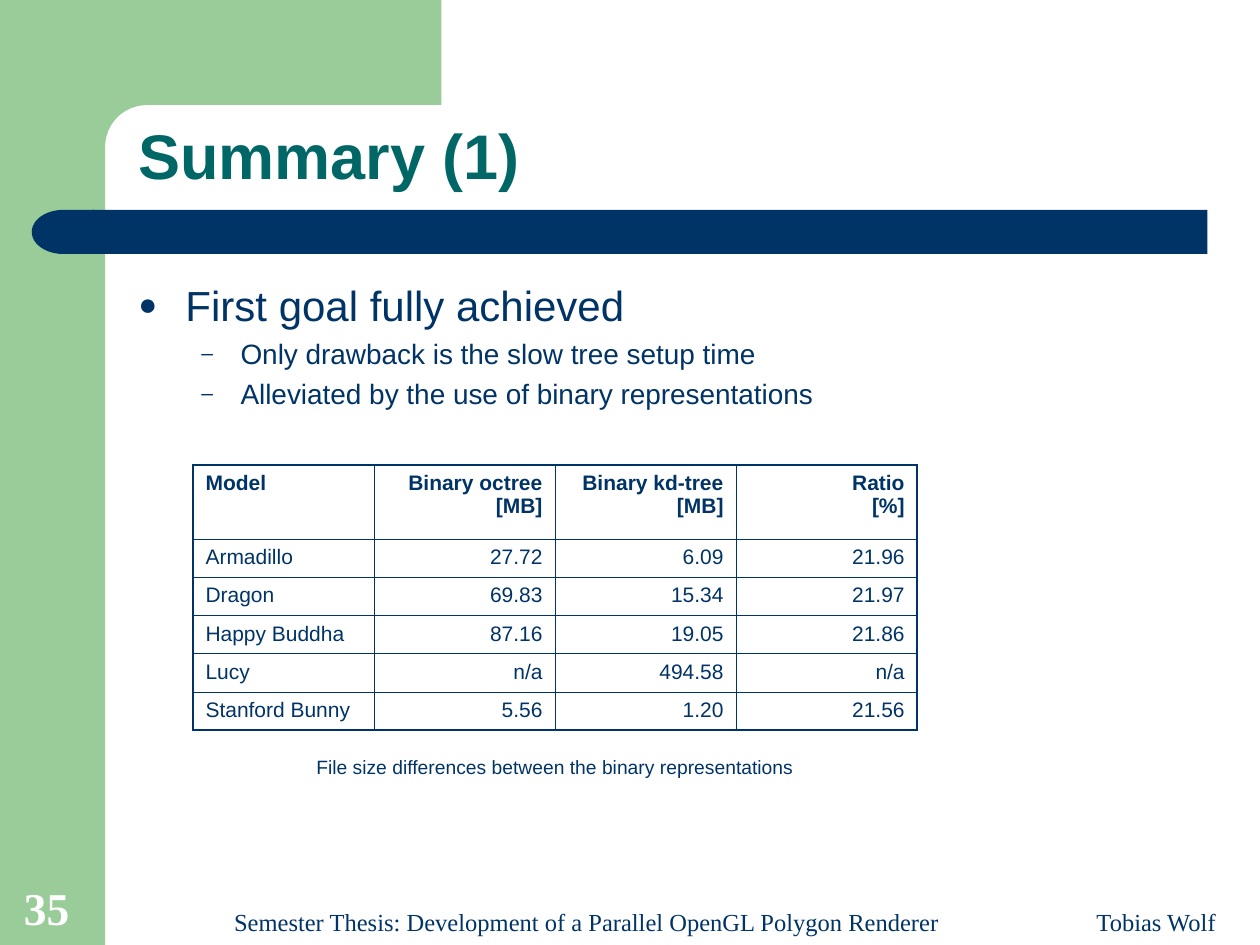
from dataclasses import dataclass

from lxml.etree import SubElement
from pptx import Presentation
from pptx.dml.color import RGBColor
from pptx.enum.shapes import MSO_SHAPE
from pptx.enum.text import MSO_ANCHOR, PP_ALIGN
from pptx.oxml import parse_xml
from pptx.oxml.ns import nsdecls, qn
from pptx.util import Cm, Pt


@dataclass(frozen=True)
class Theme:
    navy: str = "003366"
    teal: str = "006666"
    green: str = "99CC99"
    white: str = "FFFFFF"
    sans: str = "Arial"
    serif: str = "Times New Roman"
    title: int = 36
    number: int = 26
    goal: int = 24
    detail: int = 16
    footer: int = 14
    cell: int = 12
    caption: int = 11
    outer_line: float = 1.08
    inner_line: float = 0.45


THEME = Theme()

TITLE = "Summary (1)"
POINTS = [
    (0, "First goal fully achieved"),
    (1, "Only drawback is the slow tree setup time"),
    (1, "Alleviated by the use of binary representations"),
]
POINT_LEVELS = [
    {"size": THEME.goal, "bullet": "●", "indent": 0.95, "hang": 0.95, "before": 0},
    {"size": THEME.detail, "bullet": "–", "indent": 2.06, "hang": 0.79, "before": 4},
]
FILE_SIZES = [
    ("Model", "Binary octree\n[MB]", "Binary kd-tree\n[MB]", "Ratio\n[%]"),
    ("Armadillo", "27.72", "6.09", "21.96"),
    ("Dragon", "69.83", "15.34", "21.97"),
    ("Happy Buddha", "87.16", "19.05", "21.86"),
    ("Lucy", "n/a", "494.58", "n/a"),
    ("Stanford Bunny", "5.56", "1.20", "21.56"),
]
CAPTION = "File size differences between the binary representations"
THESIS = "Semester Thesis: Development of a Parallel OpenGL Polygon Renderer"
AUTHOR = "Tobias Wolf"
PAGE = "35"

BACKDROP = [
    (MSO_SHAPE.RECTANGLE, (0, 0, 2.12, 19.05), THEME.green, None, 0),
    (MSO_SHAPE.RECTANGLE, (1.9, 0, 7, 2.96), THEME.green, None, 0),
    (MSO_SHAPE.ROUNDED_RECTANGLE, (2.12, 2.12, 14.18, 1.69), THEME.white, 0.5, 0),
    (MSO_SHAPE.ROUNDED_RECTANGLE, (1.86, 4.23, 22.48, 0.89), THEME.navy, 0, 0),
    (MSO_SHAPE.FLOWCHART_DELAY, (0.64, 4.23, 1.27, 0.89), THEME.navy, None, 180),
]
TABLE_LEFT, TABLE_TOP = 3.89, 9.37
COLUMN_WIDTH, HEADER_HEIGHT, ROW_HEIGHT = 3.65, 1.5, 0.77
TABLE_WIDTH = COLUMN_WIDTH * len(FILE_SIZES[0])
TABLE_HEIGHT = HEADER_HEIGHT + ROW_HEIGHT * (len(FILE_SIZES) - 1)


def add_run(paragraph, text, size, color, font=THEME.sans, bold=False):
    run = paragraph.add_run()
    run.text = text
    run.font.name = font
    run.font.size = Pt(size)
    run.font.bold = bold
    run.font.color.rgb = RGBColor.from_string(color)


def add_frame(slide, box, anchor=MSO_ANCHOR.TOP):
    frame = slide.shapes.add_textbox(*map(Cm, box)).text_frame
    frame.word_wrap = True
    frame.vertical_anchor = anchor
    return frame


def add_label(slide, box, text, size, color, font=THEME.sans, bold=False,
              align=PP_ALIGN.LEFT, anchor=MSO_ANCHOR.BOTTOM):
    paragraph = add_frame(slide, box, anchor).paragraphs[0]
    paragraph.alignment = align
    add_run(paragraph, text, size, color, font, bold)
    return paragraph


def add_backdrop(slide):
    for preset, box, color, rounding, rotation in BACKDROP:
        panel = slide.shapes.add_shape(preset, *map(Cm, box))
        panel.shadow.inherit = False
        panel.fill.solid()
        panel.fill.fore_color.rgb = RGBColor.from_string(color)
        panel.line.fill.background()
        panel.rotation = rotation
        if rounding is not None:
            panel.adjustments[0] = rounding


def set_bullet(paragraph, style):
    properties = paragraph._p.get_or_add_pPr()
    properties.set("marL", str(Cm(style["indent"])))
    properties.set("indent", str(-Cm(style["hang"])))
    bullet_color = SubElement(properties, qn("a:buClr"))
    SubElement(bullet_color, qn("a:srgbClr"), val=THEME.navy)
    SubElement(properties, qn("a:buSzPct"), val="75000")
    SubElement(properties, qn("a:buFont"), typeface=THEME.sans)
    SubElement(properties, qn("a:buChar"), char=style["bullet"])


def add_points(slide):
    frame = add_frame(slide, (2.54, 5.5, 22.22, 11.43))
    for index, (level, text) in enumerate(POINTS):
        style = POINT_LEVELS[level]
        paragraph = frame.add_paragraph() if index else frame.paragraphs[0]
        paragraph.level = level
        paragraph.space_before = Pt(style["before"])
        set_bullet(paragraph, style)
        add_run(paragraph, text, style["size"], THEME.navy)


def set_borders(cell, outer_sides):
    properties = cell._tc.get_or_add_tcPr()
    for index, side in enumerate("LRTB"):
        width = THEME.outer_line if side in outer_sides else THEME.inner_line
        properties.insert(index, parse_xml(
            f'<a:ln{side} {nsdecls("a")} w="{Pt(width)}"><a:solidFill>'
            f'<a:srgbClr val="{THEME.navy}"/></a:solidFill></a:ln{side}>'))


def add_file_sizes(slide):
    last_row, last_column = len(FILE_SIZES) - 1, len(FILE_SIZES[0]) - 1
    box = (TABLE_LEFT, TABLE_TOP, TABLE_WIDTH, TABLE_HEIGHT)
    table = slide.shapes.add_table(last_row + 1, last_column + 1, *map(Cm, box)).table
    table.first_row = table.horz_banding = False
    for column in table.columns:
        column.width = Cm(COLUMN_WIDTH)
    for r, values in enumerate(FILE_SIZES):
        table.rows[r].height = Cm(ROW_HEIGHT if r else HEADER_HEIGHT)
        for c, value in enumerate(values):
            cell = table.cell(r, c)
            cell.fill.background()
            edges = {"L": c == 0, "R": c == last_column, "T": r == 0, "B": r == last_row}
            set_borders(cell, [side for side, outer in edges.items() if outer])
            paragraph = cell.text_frame.paragraphs[0]
            paragraph.alignment = PP_ALIGN.RIGHT if c else PP_ALIGN.LEFT
            for index, line in enumerate(value.split("\n")):
                if index:
                    paragraph.add_line_break()
                add_run(paragraph, line, THEME.cell, THEME.navy, bold=r == 0)


def main():
    deck = Presentation()
    deck.slide_width, deck.slide_height = Cm(25.4), Cm(19.05)
    slide = deck.slides.add_slide(deck.slide_layouts[6])
    add_backdrop(slide)
    title = add_label(slide, (2.54, 2.12, 22.22, 1.9), TITLE, THEME.title, THEME.teal, bold=True)
    title.line_spacing = 0.9
    add_points(slide)
    add_file_sizes(slide)
    add_label(slide, (TABLE_LEFT, 15.11, TABLE_WIDTH, 0.99), CAPTION, THEME.caption,
              THEME.navy, align=PP_ALIGN.CENTER, anchor=MSO_ANCHOR.TOP)
    thesis = add_label(slide, (2.54, 18.14, 17.98, 0.86), THESIS, THEME.footer, THEME.navy,
                       THEME.serif, align=PP_ALIGN.CENTER)
    thesis._p.get_or_add_pPr().set("marL", str(Cm(0.6)))
    add_label(slide, (0.23, 16.51, 1.63, 2.46), PAGE, THEME.number, THEME.white,
              THEME.serif, bold=True)
    add_label(slide, (20.75, 18.14, 4.01, 0.86), AUTHOR, THEME.footer, THEME.navy,
              THEME.serif, align=PP_ALIGN.RIGHT)
    deck.save("out.pptx")


if __name__ == "__main__":
    main()
